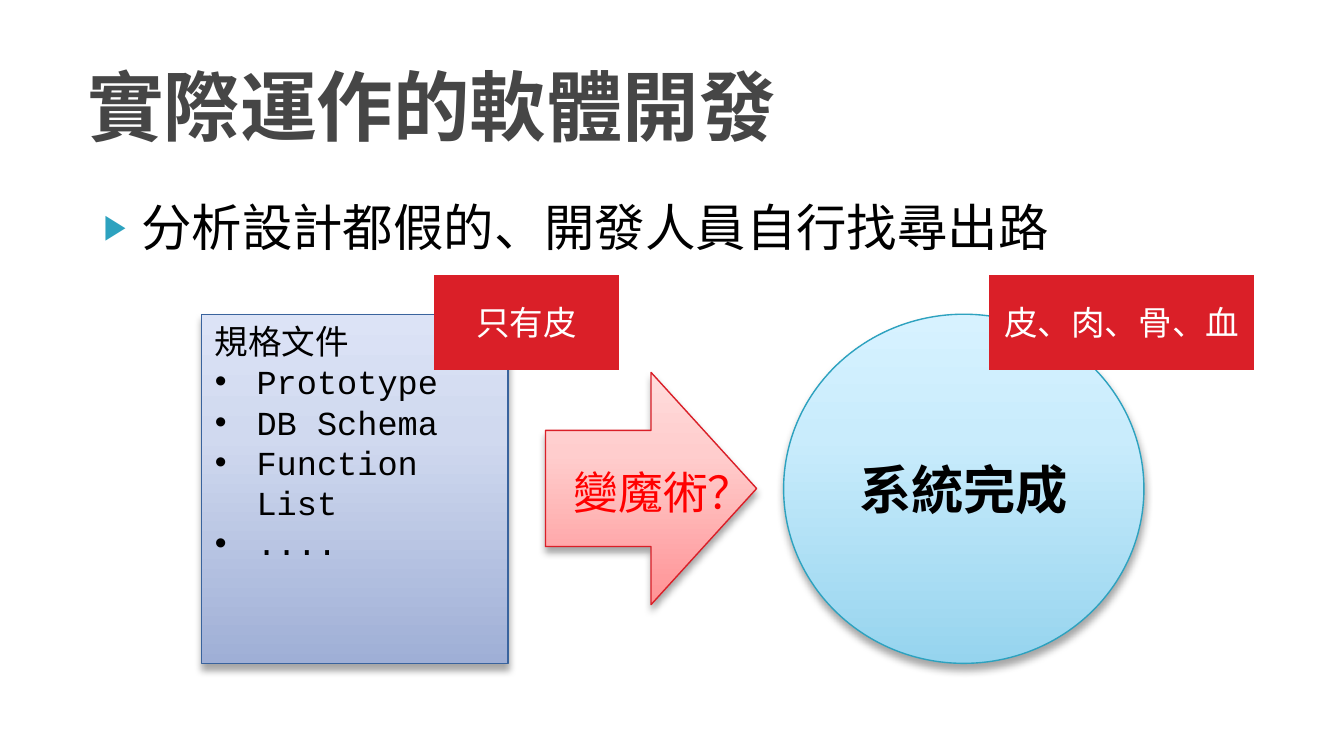
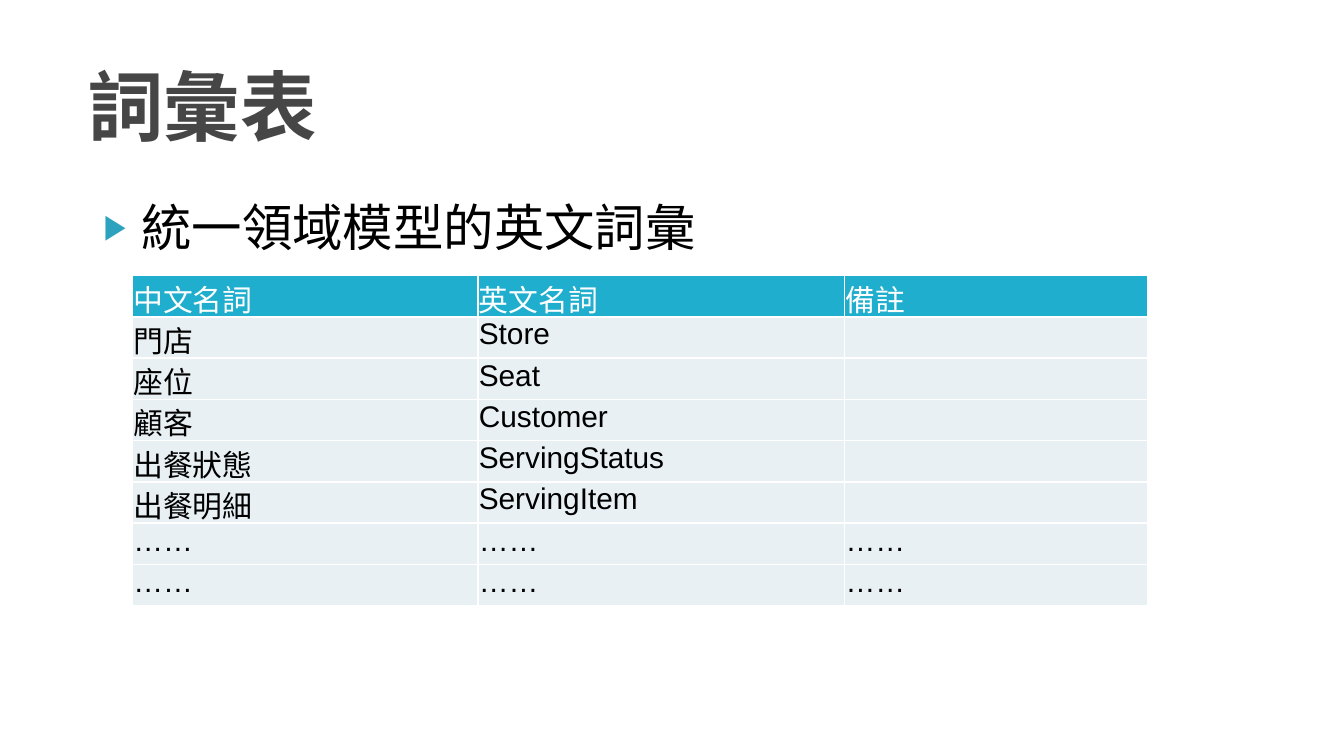
from lxml.etree import SubElement
from pptx import Presentation
from pptx.dml.color import RGBColor
from pptx.enum.shapes import MSO_SHAPE
from pptx.enum.text import MSO_ANCHOR, PP_ALIGN
from pptx.oxml.ns import qn
from pptx.util import Cm, Pt

MONO, SANS = "Courier New", "Arial"
BLACK, WHITE, GREY = "000000", "FFFFFF", "464646"
TEAL, RED, BRIGHT = "2DA2BF", "DA1F28", "FF0000"
HEAD, ROW = "1FAECD", "E8F0F4"

FLOW_TITLE = "實際運作的軟體開發"
FLOW_POINT = "分析設計都假的、開發人員自行找尋出路"
SPEC = ["規格文件", "Prototype", "DB Schema", "Function List", "...."]
DONE = "系統完成"
# kind, place, gradient from bottom to top, outline
STAGES = {
    "spec": (MSO_SHAPE.RECTANGLE, (3.81, 5.94, 5.79, 6.6),
             ("9FAFD6", "D0D9EF", "DCE3F6"), "39639D"),
    "magic": (MSO_SHAPE.RIGHT_ARROW, (10.31, 7.04, 3.99, 4.39),
              ("FF9294", "FFCDCD", "FFDCDC"), RED),
    "done": (MSO_SHAPE.OVAL, (14.81, 5.94, 6.81, 6.6),
             ("96D4EE", "C9ECFC", "D7F2FF"), TEAL),
}
# text, left, top, width, fill, size, colour
LABELS = [
    ("只有皮", 8.2, 5.19, 3.5, RED, 18, WHITE),
    ("變魔術？", 10.36, 8.4, 3.5, None, 24, BRIGHT),
    ("皮、肉、骨、血", 18.7, 5.19, 5, RED, 18, WHITE),
]
LABEL_H = 1.8

TERM_TITLE = "詞彙表"
TERM_POINT = "統一領域模型的英文詞彙"
TERMS = [
    ("中文名詞", "英文名詞", "備註"),
    ("門店", "Store", ""),
    ("座位", "Seat", ""),
    ("顧客", "Customer", ""),
    ("出餐狀態", "ServingStatus", ""),
    ("出餐明細", "ServingItem", ""),
    ("……", "……", "……"),
    ("……", "……", "……"),
]
COLS, ROW_H = (6.53, 6.93, 5.74), 0.78


def rgb(code):
    return RGBColor.from_string(code)


def node(parent, tag, **attrs):
    return SubElement(parent, qn("a:" + tag), attrs)


def tint(parent, code):
    return node(parent, "srgbClr", val=code)


def style(para, size, color, face=MONO, bold=False):
    font = para.font
    font.name, font.size, font.bold = face, Pt(size), bold
    font.color.rgb = rgb(color)


def bullet(para, char, left, hang, color=None, scale=100):
    """Give a paragraph a hanging bullet; call before style."""
    props = para._p.get_or_add_pPr()
    props.set("marL", str(Cm(left)))
    props.set("indent", str(-Cm(hang)))
    if color:
        tint(node(props, "buClr"), color)
    node(props, "buSzPct", val=str(scale * 1000))
    node(props, "buFont", typeface=SANS)
    node(props, "buChar", char=char)


def write(frame, text, size, color, bold=False, center=False):
    """Fill a frame with one paragraph centred on its height."""
    frame.word_wrap = True
    frame.vertical_anchor = MSO_ANCHOR.MIDDLE
    para = frame.paragraphs[0]
    para.text = text
    para.alignment = PP_ALIGN.CENTER if center else PP_ALIGN.LEFT
    style(para, size, color, bold=bold)


def start(deck, title, point):
    """Add a slide with its title and its one main point."""
    slide = deck.slides.add_slide(deck.slide_layouts[6])
    box = slide.shapes.add_textbox(Cm(1.4), Cm(0.79), Cm(21.64), Cm(2.39))
    write(box.text_frame, title, 41, GREY, bold=True)
    box = slide.shapes.add_textbox(Cm(1.4), Cm(3.58), Cm(22.86), Cm(1.57))
    frame = box.text_frame
    frame.word_wrap = True
    para = frame.paragraphs[0]
    para.text = point
    bullet(para, "▶", 1.02, 0.71, TEAL, 68)
    style(para, 27, BLACK)
    return slide


def stage(slide, kind, place, shades, edge):
    """Add a shape with an upward gradient and a soft shadow."""
    shape = slide.shapes.add_shape(kind, *map(Cm, place))
    shape.fill.background()
    shape.line.color.rgb = rgb(edge)
    shape.line.width = Pt(0.75)
    shape.shadow.inherit = False
    props = shape._element.spPr
    fill = node(props, "gradFill", rotWithShape="1")
    stops = node(fill, "gsLst")
    for pos, shade in zip((0, 65, 100), shades):
        tint(node(stops, "gs", pos=str(pos * 1000)), shade)
    node(fill, "lin", ang=str(270 * 60000), scaled="0")
    props.replace(props.find(qn("a:noFill")), fill)
    cast = node(props.find(qn("a:effectLst")), "outerShdw", blurRad=str(Pt(4)),
                dist=str(Pt(3)), dir=str(90 * 60000), rotWithShape="0")
    node(tint(cast, BLACK), "alpha", val="35000")
    return shape


def label(slide, text, left, top, width, fill, size, color):
    shape = slide.shapes.add_shape(MSO_SHAPE.FLOWCHART_PROCESS, Cm(left),
                                   Cm(top), Cm(width), Cm(LABEL_H))
    shape.shadow.inherit = False
    shape.line.fill.background()
    if fill:
        shape.fill.solid()
        shape.fill.fore_color.rgb = rgb(fill)
    else:
        shape.fill.background()
    write(shape.text_frame, text, size, color, center=True)


def flow(deck):
    slide = start(deck, FLOW_TITLE, FLOW_POINT)
    made = {name: stage(slide, *spec) for name, spec in STAGES.items()}
    write(made["done"].text_frame, DONE, 28, BLACK, bold=True, center=True)
    frame = made["spec"].text_frame
    frame.word_wrap = True
    frame.vertical_anchor = MSO_ANCHOR.TOP
    for i, text in enumerate(SPEC):
        para = frame.add_paragraph() if i else frame.paragraphs[0]
        para.text = text
        para.alignment = PP_ALIGN.LEFT
        if i:
            bullet(para, "•", 0.79, 0.79)
        style(para, 18, BLACK)
    for item in LABELS:
        label(slide, *item)


def fill_cell(cell, text, fill, color):
    cell.margin_left = cell.margin_top = cell.margin_right = Cm(0.02)
    cell.margin_bottom = 0
    props = cell._tc.get_or_add_tcPr()
    for side in ("lnL", "lnR", "lnT", "lnB"):
        tint(node(node(props, side, w=str(Pt(1))), "solidFill"), WHITE)
    cell.fill.solid()
    cell.fill.fore_color.rgb = rgb(fill)
    para = cell.text_frame.paragraphs[0]
    para.text = text
    style(para, 16, color, SANS)


def terms(deck):
    slide = start(deck, TERM_TITLE, TERM_POINT)
    table = slide.shapes.add_table(
        len(TERMS), len(COLS), Cm(2.5), Cm(5.21), Cm(sum(COLS)),
        Cm(ROW_H * len(TERMS))).table
    for col, width in zip(table.columns, COLS):
        col.width = Cm(width)
    for r, row in enumerate(TERMS):
        table.rows[r].height = Cm(ROW_H)
        fill, color = (ROW, BLACK) if r else (HEAD, WHITE)
        for c, text in enumerate(row):
            fill_cell(table.cell(r, c), text, fill, color)


def main():
    deck = Presentation()
    deck.slide_width, deck.slide_height = Cm(25.4), Cm(14.29)
    flow(deck)
    terms(deck)
    deck.save("out.pptx")


if __name__ == "__main__":
    main()
